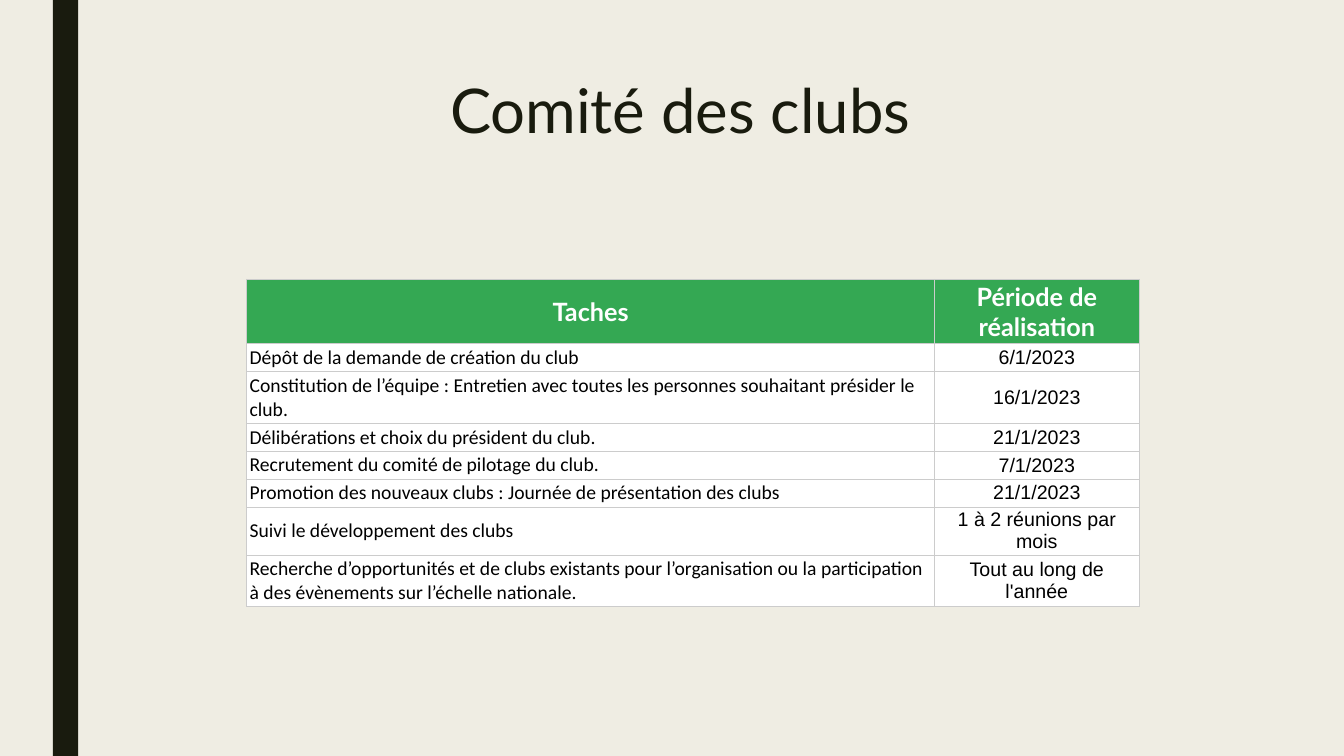
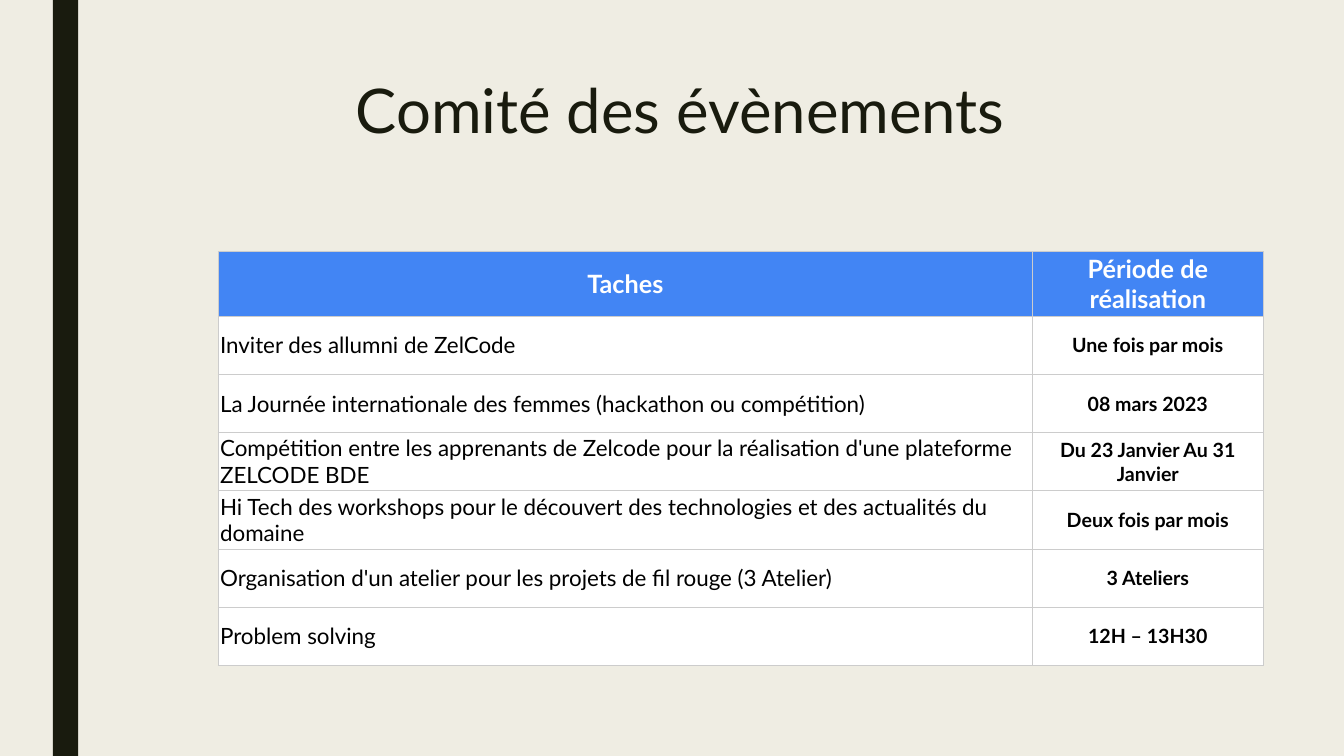
from pptx import Presentation, util as u
from pptx.dml.color import RGBColor
from pptx.enum import shapes, text
from lxml import etree

HUES = {"paper": "EFEDE3", "ink": "191B0E", "green": "34A853", "blue": "4285F4",
        "white": "FFFFFF", "black": "000000", "rule": "CCCCCC"}
HEAD = ("Taches", "Période de réalisation")
NS = "http://schemas.openxmlformats.org/drawingml/2006/main"
LEFT, MID = text.PP_ALIGN.LEFT, text.PP_ALIGN.CENTER


class Deck:
    """Holds the shared style and the current slide; lengths are % of the slide."""

    def __init__(self):
        """Open a wide deck with the paper background."""
        self.prs = Presentation()
        self.prs.slide_width = u.Inches(13.33)
        self.prs.slide_height = u.Inches(7.5)
        self.paint(self.prs.slide_master.background.fill, "paper")
        self.slide = None

    def x(self, share):
        """Turn a share of the width into a length."""
        return u.Emu(round(self.prs.slide_width * share / 100))

    def y(self, share):
        """Turn a share of the height into a length."""
        return u.Emu(round(self.prs.slide_height * share / 100))

    def box(self, left, top, wide, high):
        """Turn four shares into a left, top, width and height."""
        return self.x(left), self.y(top), self.x(wide), self.y(high)

    def paint(self, fill, hue):
        """Give a fill one solid colour."""
        fill.solid()
        fill.fore_color.rgb = RGBColor.from_string(HUES[hue])

    def label(self, frame, words, look, hue, align):
        """Fill a text frame with one paragraph in one look."""
        frame.text = words
        line = frame.paragraphs[0]
        line.alignment = align
        name, size, bold = look
        for run in line.runs:
            run.font.name, run.font.size, run.font.bold = name, u.Pt(size), bold
            run.font.color.rgb = RGBColor.from_string(HUES[hue])
        return line

    def page(self, words):
        """Start a slide with its side band and title."""
        self.slide = self.prs.slides.add_slide(self.prs.slide_layouts[5])
        self.band()
        self.title(words)

    def band(self):
        """Draw the dark band down the left side."""
        band = self.slide.shapes.add_shape(
            shapes.MSO_SHAPE.RECTANGLE, *self.box(3.93, 0, 1.88, 100))
        band.shadow.inherit = False
        self.paint(band.fill, "ink")
        band.line.fill.background()

    def title(self, words):
        """Place and format the title placeholder."""
        title = self.slide.shapes.title
        title.left, title.top, title.width, title.height = self.box(11.25, 10, 78.75, 21.6)
        frame = title.text_frame
        frame.word_wrap = True
        frame.auto_size = text.MSO_AUTO_SIZE.NONE
        frame.vertical_anchor = text.MSO_ANCHOR.TOP
        self.label(frame, words, ("Lato", 44, False), "ink", MID).line_spacing = 0.89

    def rule(self, cell):
        """Draw thin lines on the four sides of a cell."""
        props = cell._tc.get_or_add_tcPr()
        for side in ("lnL", "lnR", "lnT", "lnB"):
            line = etree.SubElement(props, f"{{{NS}}}{side}", w=str(u.Pt(0.6)))
            fill = etree.SubElement(line, f"{{{NS}}}solidFill")
            etree.SubElement(fill, f"{{{NS}}}srgbClr", val=HUES["rule"])

    def cell(self, cell, words, look, hue, align, back, pad):
        """Format one table cell."""
        self.rule(cell)
        self.paint(cell.fill, back)
        cell.vertical_anchor = text.MSO_ANCHOR.MIDDLE
        cell.margin_left = cell.margin_right = u.Inches(pad)
        cell.margin_top = cell.margin_bottom = u.Inches(0.02)
        self.label(cell.text_frame, words, look, hue, align)

    def table(self, spot, cols, highs, hue, looks, pad, tasks):
        """Draw a task table; highs are the head and body row heights."""
        head, body = highs
        high = head + body * len(tasks)
        grid = self.slide.shapes.add_table(
            len(tasks) + 1, len(cols), *self.box(*spot, sum(cols), high)).table
        grid.horz_banding = False
        for col, wide in zip(grid.columns, cols):
            col.width = self.x(wide)
        for r, (row, pair) in enumerate(zip(grid.rows, [HEAD, *tasks])):
            row.height = self.y(body if r else head)
            for c, words in enumerate(pair):
                if r:
                    style = looks[c], "black", (LEFT, MID)[c], "white"
                else:
                    style = ("Lato", 18, True), "white", MID, hue
                self.cell(grid.cell(r, c), words, *style, pad)


CLUBS = [
    ("Dépôt de la demande de création du club", "6/1/2023"),
    ("Constitution de l’équipe : Entretien avec toutes les personnes "
     "souhaitant présider le club.", "16/1/2023"),
    ("Délibérations et choix du président du club.", "21/1/2023"),
    ("Recrutement du comité de pilotage du club.", "7/1/2023"),
    ("Promotion des nouveaux clubs : Journée de présentation des clubs", "21/1/2023"),
    ("Suivi le développement des clubs", "1 à 2 réunions par mois"),
    ("Recherche d’opportunités et de clubs existants pour l’organisation ou la "
     "participation à des évènements sur l’échelle nationale.",
     "Tout au long de l'année"),
]
EVENTS = [
    ("Inviter des allumni de ZelCode", "Une fois par mois"),
    ("La Journée internationale des femmes (hackathon ou compétition)", "08 mars 2023"),
    ("Compétition entre les apprenants de Zelcode pour la réalisation d'une "
     "plateforme ZELCODE BDE", "Du 23 Janvier Au 31 Janvier"),
    ("Hi Tech des workshops pour le découvert des technologies et des "
     "actualités du domaine", "Deux fois par mois"),
    ("Organisation d'un atelier pour les projets de fil rouge (3 Atelier)", "3 Ateliers"),
    ("Problem solving", "12H – 13H30"),
]

deck = Deck()
deck.page("Comité des clubs")
deck.table((18.35, 36.95), (51.2, 15.2), (4.4, 2.27), "green",
           (("Calibri", 14, False), ("Arial", 14, False)), 0.03, CLUBS)
deck.page("Comité des évènements")
deck.table((16.23, 33.3), (60.6, 17.15), (6.13, 7.7), "blue",
           (("Lato", 16, False), ("Lato", 14, True)), 0.02, EVENTS)
deck.prs.save("out.pptx")
